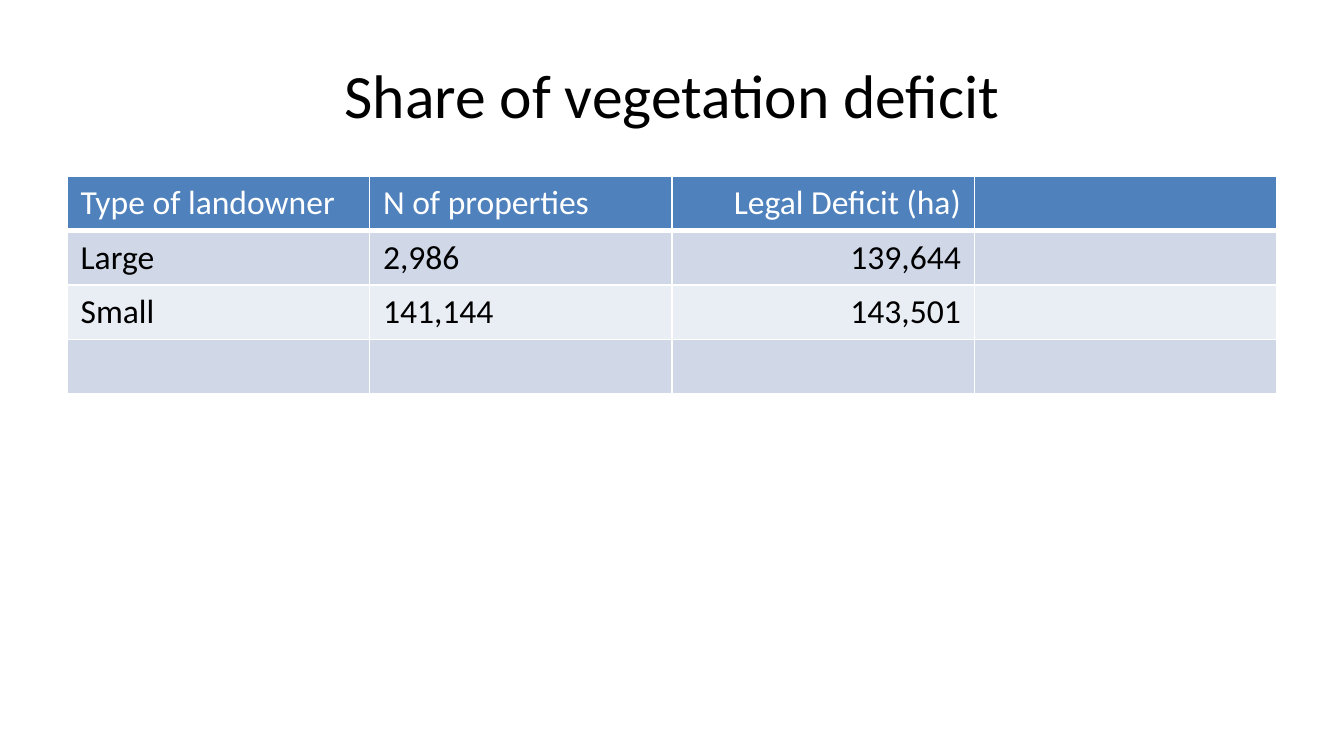
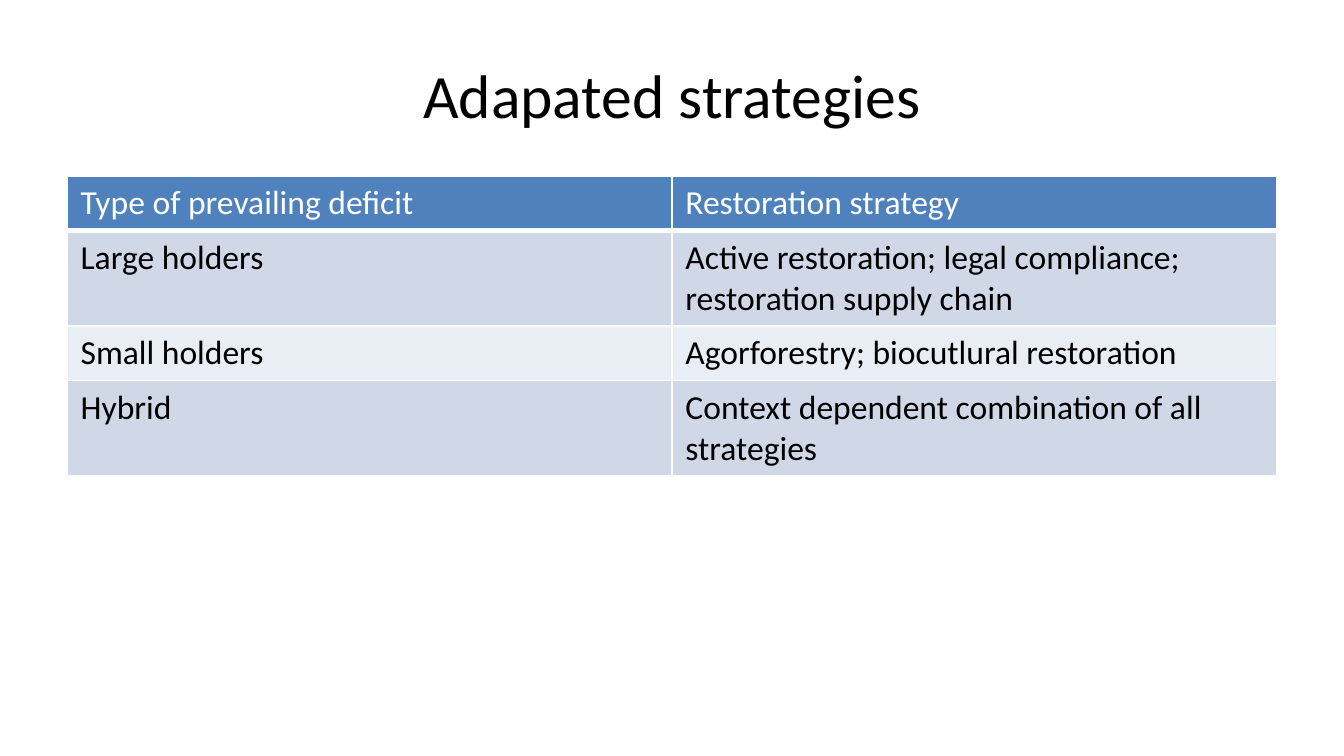
from lxml import etree
from pptx import Presentation
from pptx.dml.color import RGBColor
from pptx.enum.text import MSO_ANCHOR, PP_ALIGN
from pptx.oxml.ns import qn
from pptx.util import Cm, Pt

LEFT, CENTER, RIGHT = PP_ALIGN.LEFT, PP_ALIGN.CENTER, PP_ALIGN.RIGHT
MIDDLE = MSO_ANCHOR.MIDDLE

SLIDES = [
    {
        "title": "Share of vegetation deficit",
        "aligns": [LEFT, LEFT, RIGHT, LEFT],
        "heights": [1.03, 1.03, 1.03, 1.03],
        "rows": [
            ["Type of landowner", "N of properties", "Legal Deficit (ha)", ""],
            ["Large", "2,986", "139,644", ""],
            ["Small", "141,144", "143,501", ""],
            ["", "", "", ""],
        ],
    },
    {
        "title": "Adapated strategies",
        "aligns": [LEFT, LEFT],
        "heights": [1.03, 1.8, 1.03, 1.8],
        "rows": [
            ["Type of prevailing deficit", "Restoration strategy"],
            ["Large holders", "Active restoration; legal compliance; restoration supply chain"],
            ["Small holders", "Agorforestry; biocutlural restoration"],
            ["Hybrid", "Context dependent combination of all strategies"],
        ],
    },
]

BLACK, WHITE, HEADER = "000000", "FFFFFF", "4F81BD"
BANDS = ["E9EDF4", "D0D8E8"]
TITLE_FORMAT = {"name": "Calibri", "size": Pt(33)}
CELL_FORMAT = {"name": "Calibri", "size": Pt(18)}
MARGIN, CONTENT_WIDTH = 1.27, 22.86
TITLE_TOP, TITLE_HEIGHT, TABLE_TOP = 0.58, 2.39, 3.33


def color(value):
    return RGBColor.from_string(value)


def write(frame, text, formats, ink, align):
    para = frame.paragraphs[0]
    para.alignment = align
    if text:
        span = para.add_run()
        span.text = text
        for name, value in formats.items():
            setattr(span.font, name, value)
        span.font.color.rgb = color(ink)


def add_borders(cell, widths):
    properties = cell._tc.get_or_add_tcPr()
    for side, width in widths.items():
        line = etree.SubElement(properties, qn(f"a:ln{side}"), w=str(Pt(width)))
        fill = etree.SubElement(line, qn("a:solidFill"))
        etree.SubElement(fill, qn("a:srgbClr"), val=WHITE)


def add_title(page, text):
    box = page.shapes.add_textbox(
        Cm(MARGIN), Cm(TITLE_TOP), Cm(CONTENT_WIDTH), Cm(TITLE_HEIGHT))
    frame = box.text_frame
    frame.word_wrap = True
    frame.vertical_anchor = MIDDLE
    write(frame, text, TITLE_FORMAT, BLACK, CENTER)


def add_grid(page, rows, aligns, heights):
    table = page.shapes.add_table(
        len(rows), len(aligns), Cm(MARGIN), Cm(TABLE_TOP),
        Cm(CONTENT_WIDTH), Cm(sum(heights))).table
    for column in table.columns:
        column.width = Cm(CONTENT_WIDTH / len(aligns))
    for index, (row, height) in enumerate(zip(rows, heights)):
        table.rows[index].height = Cm(height)
        is_header = index == 0
        for position, (text, align) in enumerate(zip(row, aligns)):
            cell = table.cell(index, position)
            add_borders(cell, {"L": 1, "R": 1, "T": 1, "B": 3 if is_header else 1})
            cell.fill.solid()
            cell.fill.fore_color.rgb = color(HEADER if is_header else BANDS[index % 2])
            write(cell.text_frame, text, CELL_FORMAT, WHITE if is_header else BLACK, align)


def main():
    deck = Presentation()
    deck.slide_width, deck.slide_height = Cm(25.4), Cm(14.29)
    for content in SLIDES:
        page = deck.slides.add_slide(deck.slide_layouts[6])
        add_title(page, content["title"])
        add_grid(page, content["rows"], content["aligns"], content["heights"])
    deck.save("out.pptx")


if __name__ == "__main__":
    main()
